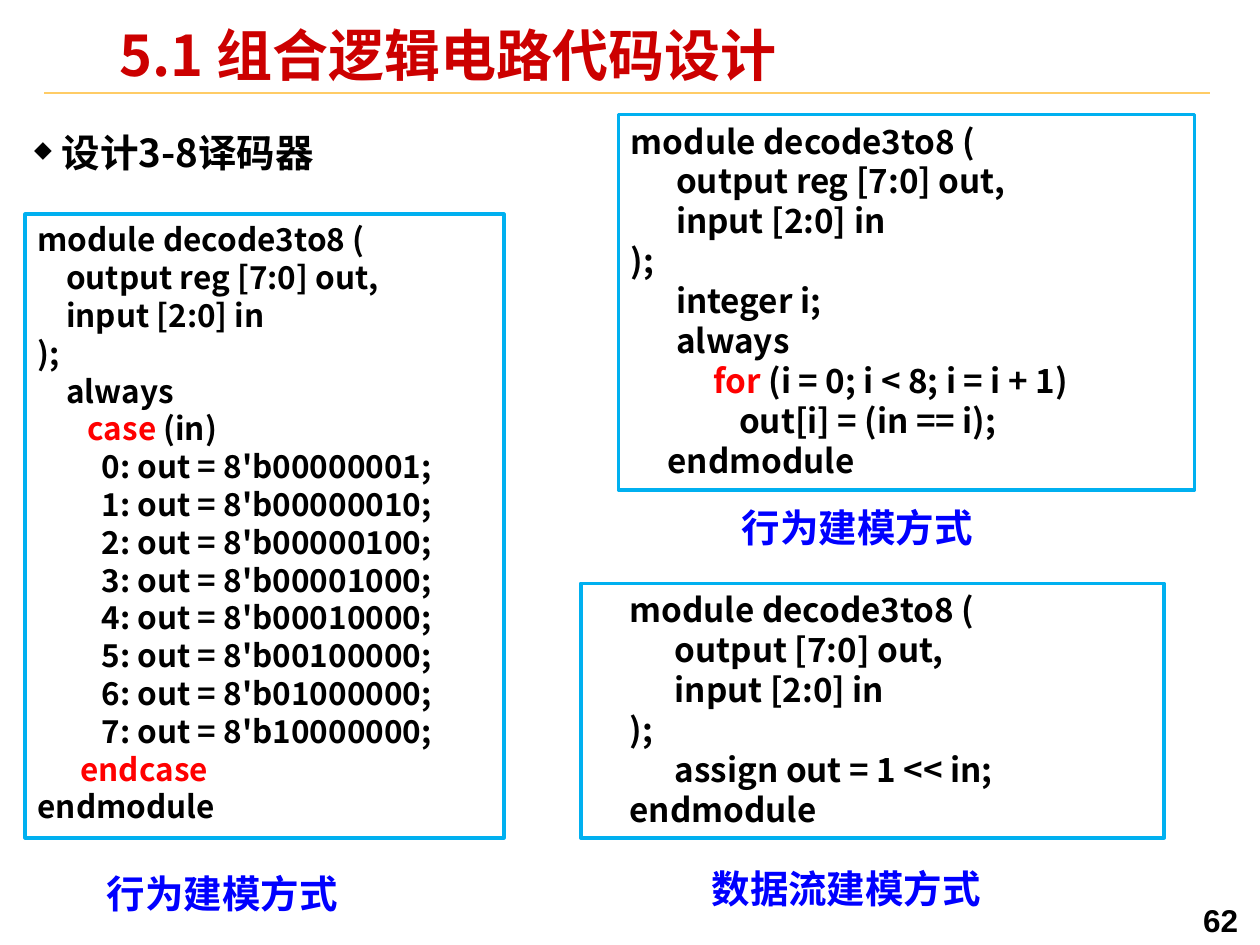
from lxml import etree
from pptx import Presentation
from pptx.dml.color import RGBColor
from pptx.enum.shapes import MSO_CONNECTOR, MSO_SHAPE
from pptx.enum.text import MSO_ANCHOR, MSO_AUTO_SIZE, PP_ALIGN
from pptx.oxml.ns import qn
from pptx.util import Inches, Pt

LEFT = PP_ALIGN.LEFT
MIDDLE, TOP = MSO_ANCHOR.MIDDLE, MSO_ANCHOR.TOP
GROW, FIXED = MSO_AUTO_SIZE.SHAPE_TO_FIT_TEXT, MSO_AUTO_SIZE.NONE
RECT, STRAIGHT = MSO_SHAPE.RECTANGLE, MSO_CONNECTOR.STRAIGHT

COLORS = {"title": "CC0000", "rule": "FFCC66", "text": "000000", "keyword": "FF0000",
          "caption": "0000FF", "border": "00B0F0", "paper": "FFFFFF"}
CJK = "Noto Sans CJK SC"
KEYWORDS = ("endcase", "case", "for")
TIGHT = {"margin_left": Inches(0.07), "margin_right": Inches(0.07),
         "margin_top": Inches(0.03), "margin_bottom": Inches(0.03)}

TITLE = "5.1 组合逻辑电路代码设计"
TOPIC = "设计3-8译码器"
PAGE = "62"

CASE_CODE = [
    "module decode3to8 (",
    "    output reg [7:0] out,",
    "    input [2:0] in",
    ");",
    "    always",
    "       case (in)",
    *[f"         {i}: out = 8'b{1 << i:08b};" for i in range(8)],
    "      endcase",
    "endmodule",
]
LOOP_CODE = [
    "module decode3to8 (",
    "      output reg [7:0] out,",
    "      input [2:0] in",
    ");",
    "      integer i;",
    "      always",
    "           for (i = 0; i < 8; i = i + 1)",
    "\t      out[i] = (in == i);",
    "endmodule",
]
ASSIGN_CODE = [
    "module decode3to8 (",
    "      output [7:0] out,",
    "      input [2:0] in",
    ");",
    "      assign out = 1 << in;",
    "endmodule",
]

# box, font size, lines, numbers of the lines with a first-line indent
CODE_BOXES = [
    ((0.2, 1.7, 3.8, 4.95), 18, CASE_CODE, ()),
    ((4.91, 0.91, 4.57, 2.98), 19, LOOP_CODE, (len(LOOP_CODE) - 1,)),
    ((4.61, 4.63, 4.63, 2.02), 19, ASSIGN_CODE, range(len(ASSIGN_CODE))),
]
CAPTIONS = [
    ((0.75, 6.86, 2.05, 0.47), "行为建模方式"),
    ((5.79, 3.95, 2.05, 0.47), "行为建模方式"),
    ((5.55, 6.82, 2.36, 0.47), "数据流建模方式"),
]


def rgb(name):
    return RGBColor.from_string(COLORS[name])


def set_frame(tf, **values):
    for name, value in values.items():
        setattr(tf, name, value)


def add_run(p, text, size, color="text", font=CJK):
    r = p.add_run()
    r.text = text
    for name, value in {"size": Pt(size), "bold": True, "name": font}.items():
        setattr(r.font, name, value)
    r.font.color.rgb = rgb(color)
    etree.SubElement(r.font._element, qn("a:ea"), typeface=font)


def add_code_line(p, line, size):
    """Write one line of code with its keyword, if any, in the keyword colour."""
    word = next((w for w in KEYWORDS if line.strip().split(" ")[0] == w), None)
    if word is None:
        add_run(p, line, size)
        return
    before, after = line.split(word, 1)
    for text, color in ((before, "text"), (word, "keyword"), (after, "text")):
        if text:
            add_run(p, text, size, color)


def add_text(s, box, text, size, color="text", font=CJK, **frame):
    tf = s.shapes.add_textbox(*map(Inches, box)).text_frame
    set_frame(tf, **frame)
    p = tf.paragraphs[0]
    add_run(p, text, size, color, font)
    return p


def add_code_box(s, box, size, lines, indented):
    sp = s.shapes.add_shape(RECT, *map(Inches, box))
    sp.shadow.inherit = False
    sp.fill.solid()
    sp.fill.fore_color.rgb = rgb("paper")
    sp.line.color.rgb = rgb("border")
    sp.line.width = Pt(2)
    tf = sp.text_frame
    set_frame(tf, word_wrap=True, auto_size=GROW, vertical_anchor=TOP)
    for i, line in enumerate(lines):
        p = tf.add_paragraph() if i else tf.paragraphs[0]
        p.alignment = LEFT
        if i in indented:
            pPr = p._p.get_or_add_pPr()
            pPr.set("marL", "0")
            pPr.set("indent", str(Inches(0.29)))
        add_code_line(p, line, size)


def add_diamond_bullet(p):
    pPr = p._p.get_or_add_pPr()
    pPr.set("marL", str(Inches(0.22)))
    pPr.set("indent", str(Inches(-0.22)))
    color = etree.SubElement(pPr, qn("a:buClr"))
    etree.SubElement(color, qn("a:srgbClr"), val=COLORS["text"])
    etree.SubElement(pPr, qn("a:buSzPct"), val="60000")
    etree.SubElement(pPr, qn("a:buChar"), char="◆")


def main():
    prs = Presentation()
    prs.slide_width, prs.slide_height = Inches(10), Inches(7.5)
    s = prs.slides.add_slide(prs.slide_layouts[5])

    rule = s.shapes.add_connector(STRAIGHT, *map(Inches, (0.35, 0.74, 9.6, 0.74)))
    rule.line.color.rgb = rgb("rule")
    rule.line.width = Pt(1)
    etree.SubElement(rule._element.spPr, qn("a:effectLst"))

    title = s.shapes.title
    title.left, title.top, title.width, title.height = map(Inches, (0.88, 0.21, 6.64, 0.52))
    set_frame(title.text_frame, word_wrap=True, auto_size=FIXED, vertical_anchor=MIDDLE, **TIGHT)
    p = title.text_frame.paragraphs[0]
    p.alignment, p.line_spacing = LEFT, 0.87
    add_run(p, TITLE, 32, "title")

    p = add_text(s, (0.2, 0.92, 4.88, 0.46), TOPIC, 22, word_wrap=True, auto_size=GROW, **TIGHT)
    add_diamond_bullet(p)
    p.line_spacing = 1.2

    add_text(s, (9.45, 7.1, 0.55, 0.36), PAGE, 18, font="Arial", word_wrap=True)

    for code_box in CODE_BOXES:
        add_code_box(s, *code_box)
    for box, text in CAPTIONS:
        add_text(s, box, text, 22, "caption", word_wrap=False, auto_size=GROW)

    prs.save("out.pptx")


if __name__ == "__main__":
    main()
